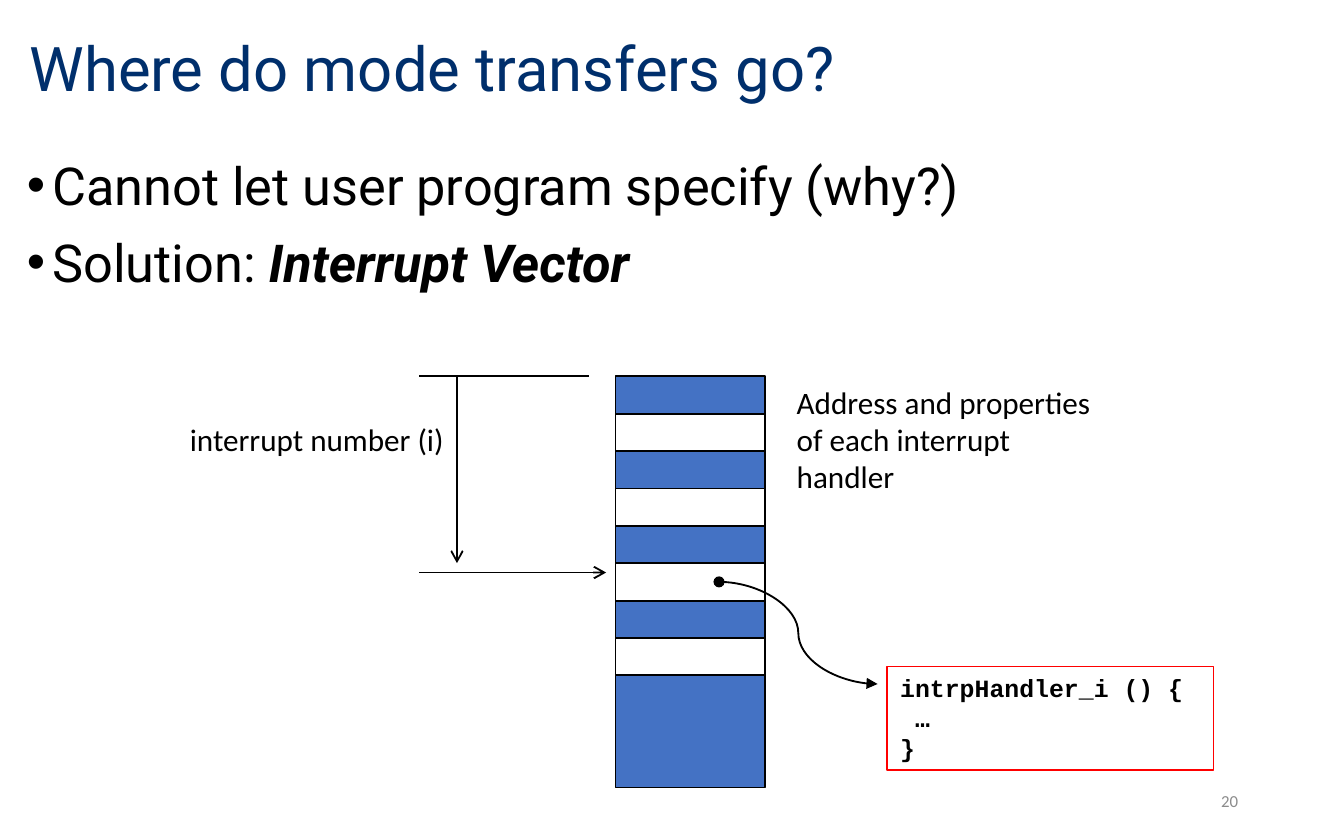
import dataclasses

import lxml.etree
import pptx
import pptx.dml.color
import pptx.enum.shapes
import pptx.enum.text
import pptx.oxml.ns
import pptx.util

EMU_PER_PX = 9144  # 100 px to the inch
ALIGN = pptx.enum.text.PP_ALIGN
ANCHOR = pptx.enum.text.MSO_ANCHOR
CONNECTOR = pptx.enum.shapes.MSO_CONNECTOR


@dataclasses.dataclass(frozen=True)
class Theme:
    title_font: str = "Roboto"
    label_font: str = "Calibri"
    code_font: str = "Courier New"
    title_size: float = 33
    body_size: float = 28
    label_size: float = 16.7
    code_size: float = 13.3
    number_size: float = 9
    title_color: str = "002F6C"
    ink: str = "000000"
    muted: str = "8C8C8C"
    entry_blue: str = "4472C4"
    entry_white: str = "FFFFFF"
    handler_border: str = "FF0000"
    line_width: float = 1
    border_width: float = 0.75


THEME = Theme()


@dataclasses.dataclass(frozen=True)
class Box:
    left: float
    top: float
    width: float
    height: float

    def inner(self, left, top, width, height):
        return Box(self.left + left, self.top + top, width, height)

    def emu(self):
        return [px(v) for v in (self.left, self.top, self.width, self.height)]


def px(length):
    return pptx.util.Emu(round(length * EMU_PER_PX))


def rgb(color):
    return pptx.dml.color.RGBColor.from_string(color)


def add_run(paragraph, text, font, size, color, bold=False, italic=False):
    run = paragraph.add_run()
    run.text = text
    run.font.name = font
    run.font.size = pptx.util.Pt(size)
    run.font.color.rgb = rgb(color)
    run.font.bold = bold
    run.font.italic = italic


def place(shape, box):
    shape.left, shape.top, shape.width, shape.height = box.emu()


def add_label(slide, box, text, size, color, align=ALIGN.LEFT, anchor=ANCHOR.TOP):
    frame = slide.shapes.add_textbox(*box.emu()).text_frame
    frame.word_wrap = True
    frame.vertical_anchor = anchor
    paragraph = frame.paragraphs[0]
    paragraph.alignment = align
    add_run(paragraph, text, THEME.label_font, size, color)


def add_rectangle(slide, box, fill, border, width):
    shape = slide.shapes.add_shape(
        pptx.enum.shapes.MSO_SHAPE.RECTANGLE, *box.emu())
    shape.shadow.inherit = False
    if fill:
        shape.fill.solid()
        shape.fill.fore_color.rgb = rgb(fill)
    else:
        shape.fill.background()
    shape.line.color.rgb = rgb(border)
    shape.line.width = pptx.util.Pt(width)
    return shape


def add_line(slide, box, start, end, kind=CONNECTOR.STRAIGHT, head=None, tail=None):
    points = [px(v) for x, y in (start, end) for v in (box.left + x, box.top + y)]
    connector = slide.shapes.add_connector(kind, *points)
    connector.line.color.rgb = rgb(THEME.ink)
    connector.line.width = pptx.util.Pt(THEME.line_width)
    outline = connector.line._get_or_add_ln()
    for tag, arrow in (("a:headEnd", head), ("a:tailEnd", tail)):
        if arrow:
            lxml.etree.SubElement(outline, pptx.oxml.ns.qn(tag), type=arrow)
    lxml.etree.SubElement(
        connector._element.spPr, pptx.oxml.ns.qn("a:effectLst"))


def add_bullet(paragraph, indent):
    properties = paragraph._p.get_or_add_pPr()
    properties.set("marL", str(px(indent)))
    properties.set("indent", str(px(-indent)))
    lxml.etree.SubElement(
        properties, pptx.oxml.ns.qn("a:buFont"), typeface="Arial")
    lxml.etree.SubElement(properties, pptx.oxml.ns.qn("a:buChar"), char="•")


def build_title(slide, box):
    title = slide.shapes.title
    place(title, box)
    title.text_frame.vertical_anchor = ANCHOR.MIDDLE
    title.text_frame.auto_size = pptx.enum.text.MSO_AUTO_SIZE.NONE
    paragraph = title.text_frame.paragraphs[0]
    paragraph.alignment = ALIGN.LEFT
    paragraph.line_spacing = 0.9
    add_run(paragraph, "Where do mode transfers go?",
            THEME.title_font, THEME.title_size, THEME.title_color)


def build_body(slide, box):
    body = slide.placeholders[1]
    place(body, box)
    frame = body.text_frame
    frame.auto_size = pptx.enum.text.MSO_AUTO_SIZE.NONE
    frame.margin_left, frame.margin_top = px(8), px(9)
    # Each item is a list of (text, emphasised) runs
    items = [
        [("Cannot let user program specify (why?)", False)],
        [("Solution: ", False), ("Interrupt Vector", True)],
    ]
    for index, runs in enumerate(items):
        paragraph = frame.add_paragraph() if index else frame.paragraphs[0]
        add_bullet(paragraph, 19)
        paragraph.space_before = pptx.util.Pt(7.5 if index else 0)
        for text, strong in runs:
            add_run(paragraph, text, THEME.title_font, THEME.body_size,
                    THEME.ink, bold=strong, italic=strong)


def build_vector(slide, box):
    # Blue memory block, with every second entry white
    add_rectangle(slide, box, THEME.entry_blue, THEME.ink, THEME.line_width)
    row = box.height / 11
    for index in (1, 3, 5, 7):
        add_rectangle(slide, box.inner(0, index * row, box.width, row),
                      THEME.entry_white, THEME.ink, THEME.line_width)


def build_offset(slide, box):
    # Top rule, downward offset arrow, and arrow to entry i
    add_line(slide, box, (333, 0), (207, 0))
    add_line(slide, box, (235, 0), (235, 139), tail="arrow")
    add_label(slide, box.inner(0, 28, 235, 38), "interrupt number (i)",
              THEME.label_size, THEME.ink, align=ALIGN.RIGHT)
    add_line(slide, box, (207, box.height), (box.width, box.height), tail="arrow")


def build_handler(slide, box):
    # Curve from the vector entry to the handler code
    add_line(slide, box, (0, 0), (118, 76), kind=CONNECTOR.CURVE,
             head="oval", tail="triangle")
    shape = add_rectangle(slide, box.inner(125, 63, 243, 77), None,
                          THEME.handler_border, THEME.border_width)
    frame = shape.text_frame
    frame.word_wrap = True
    frame.vertical_anchor = ANCHOR.TOP
    for index, code in enumerate(("intrpHandler_i () {", " …", "}")):
        paragraph = frame.add_paragraph() if index else frame.paragraphs[0]
        paragraph.alignment = ALIGN.LEFT
        add_run(paragraph, code, THEME.code_font, THEME.code_size,
                THEME.ink, bold=True)


def main():
    presentation = pptx.Presentation()
    presentation.slide_width, presentation.slide_height = px(1000), px(625)
    slide = presentation.slides.add_slide(presentation.slide_layouts[1])

    build_title(slide, Box(12, 10, 852, 86))
    build_body(slide, Box(12, 105, 977, 458))
    build_vector(slide, Box(458, 280, 111, 306))
    build_offset(slide, Box(105, 280, 346, 146))
    build_handler(slide, Box(535, 433, 368, 140))
    # Note beside the vector
    add_label(slide, Box(583, 280, 250, 94),
              "Address and properties of each interrupt handler",
              THEME.label_size, THEME.ink)
    # Slide number
    add_label(slide, Box(706, 579, 225, 33), "20", THEME.number_size,
              THEME.muted, align=ALIGN.RIGHT, anchor=ANCHOR.MIDDLE)

    presentation.save("out.pptx")


if __name__ == "__main__":
    main()
